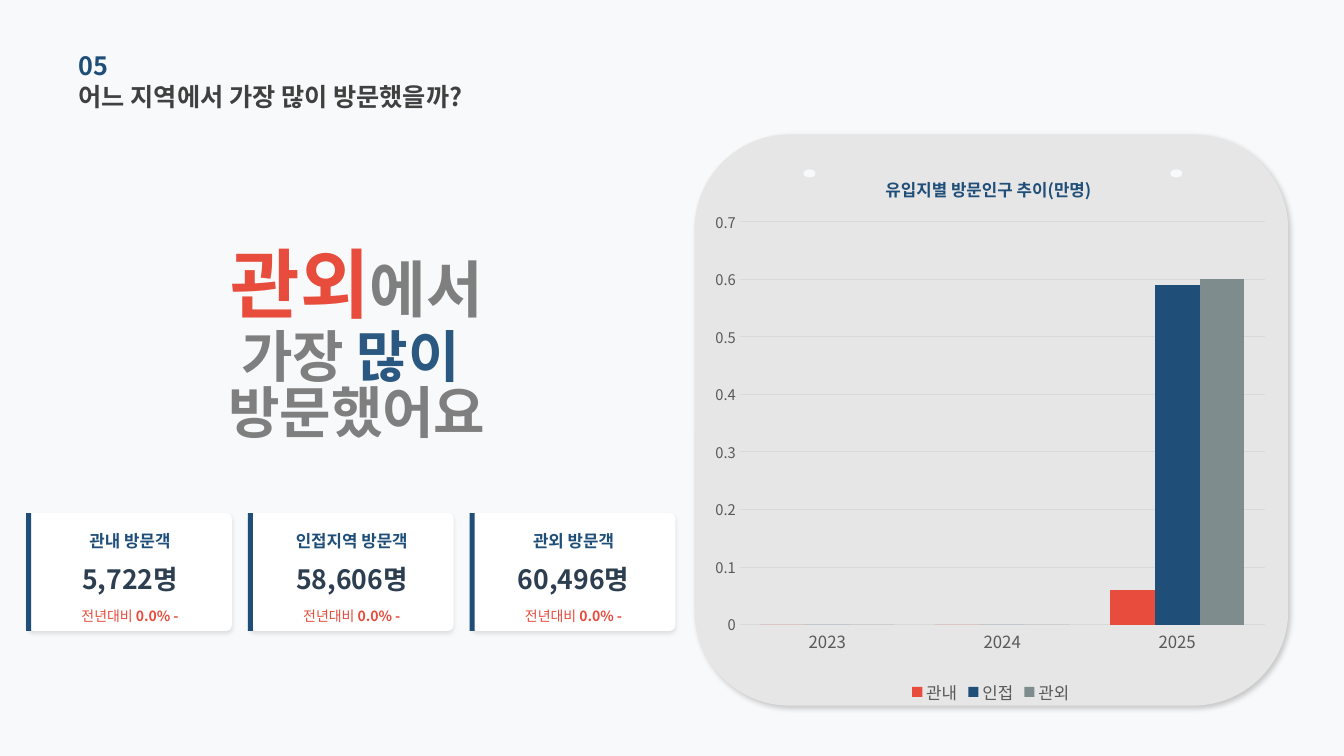
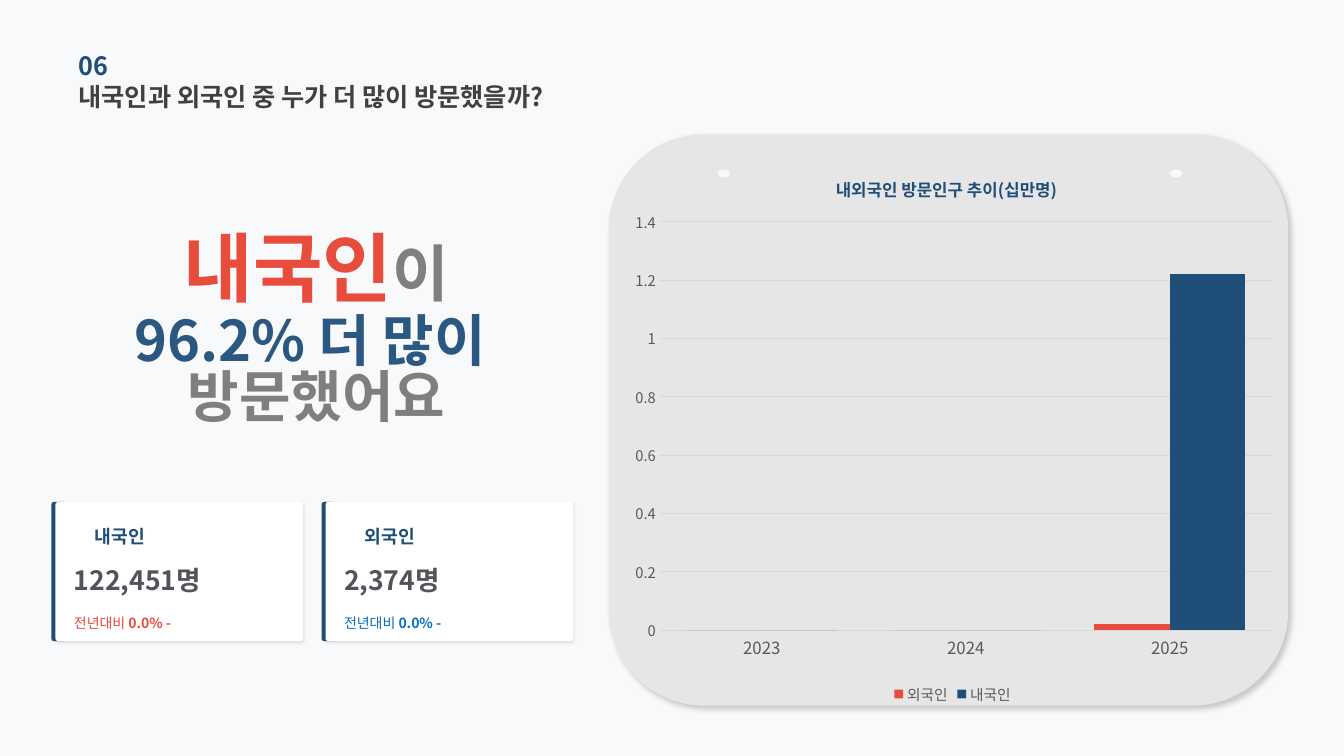
import pptx
import pptx.chart.data
import pptx.dml.color
import pptx.enum.chart
import pptx.enum.shapes
import pptx.enum.text
import pptx.oxml
import pptx.oxml.ns
import pptx.util

RGBColor = pptx.dml.color.RGBColor
Shapes = pptx.enum.shapes.MSO_SHAPE
Align = pptx.enum.text.PP_ALIGN
qn = pptx.oxml.ns.qn

FONT = "Noto Sans CJK KR"
PAPER = RGBColor(0xF8, 0xF9, 0xFA)
WHITE = RGBColor(0xFF, 0xFF, 0xFF)
PANEL = RGBColor(0xE7, 0xE6, 0xE6)
NAVY = RGBColor(0x1F, 0x4E, 0x79)
SOFT_NAVY = RGBColor(0x2B, 0x58, 0x80)
RED = RGBColor(0xE7, 0x4C, 0x3C)
BLUE = RGBColor(0x00, 0x70, 0xC0)
STEEL = RGBColor(0x7F, 0x8C, 0x8D)
TITLE_INK = RGBColor(0x40, 0x40, 0x40)
VALUE_INK = RGBColor(0x2C, 0x3E, 0x50)
VALUE_GREY = RGBColor(0x51, 0x54, 0x5A)
GREY = RGBColor(0x7F, 0x7F, 0x7F)
AXIS_INK = RGBColor(0x59, 0x59, 0x59)
GRID_LINE = RGBColor(0xD9, 0xD9, 0xD9)

# The slide is a grid of square cells.
COLUMNS, ROWS = 160, 90
CELL = pptx.util.Inches(7.5) // ROWS

PANEL_TOP, PANEL_RIGHT, PANEL_HEIGHT = 16, 153.36, 68
PANEL_SHADOW = dict(alpha=20, blur=4, distance=3, angle=45)
WIDE_SHADOW = dict(alpha=10, blur=3, distance=2, angle=90)
THIN_SHADOW = dict(alpha=10, blur=2, distance=1, angle=90)


def cells(*counts):
    return [round(count * CELL) for count in counts]


def style_font(font, size, color, bold=False):
    font.size = pptx.util.Pt(size)
    font.bold = bold
    font.color.rgb = color
    font.name = FONT
    east_asian = font._element.makeelement(qn("a:ea"), {"typeface": FONT})
    font._element.find(qn("a:latin")).addnext(east_asian)


def place_in_chart(element, index, **shares):
    """Fix a chart part at shares of the chart's size."""
    old = element.find(qn("c:layout"))
    if old is not None:
        element.remove(old)
    modes = "".join(f'<c:{axis}Mode val="edge"/>' for axis in "xy")
    target = '<c:layoutTarget val="inner"/>' if "w" in shares else ""
    values = "".join(f'<c:{key} val="{share}"/>' for key, share in shares.items())
    element.insert(index, pptx.oxml.parse_xml(
        f'<c:layout {pptx.oxml.ns.nsdecls("c")}><c:manualLayout>'
        f"{target}{modes}{values}</c:manualLayout></c:layout>"))


class Deck:
    def __init__(self):
        self.presentation = pptx.Presentation()
        self.presentation.slide_width = COLUMNS * CELL
        self.presentation.slide_height = ROWS * CELL
        fill = self.presentation.slide_master.background.fill
        fill.solid()
        fill.fore_color.rgb = PAPER
        self.slide = None

    def start(self, number, question):
        layout = self.presentation.slide_layouts.get_by_name("Title Only")
        self.slide = self.presentation.slides.add_slide(layout)
        title = self.slide.shapes.title
        title.left, title.top, title.width, title.height = cells(9.36, 9, 63.36, 4.92)
        self.fill_frame(title.text_frame, [[(question, 18, TITLE_INK, True)]])
        self.text(9.36, 5.28, 54.24, 4.92, [[(number, 18, NAVY, True)]])

    def fill_frame(self, frame, lines, align=Align.LEFT, spacing=None):
        """Fill a frame; each line is a list of (text, size, color, bold)."""
        frame.word_wrap = True
        frame.auto_size = pptx.enum.text.MSO_AUTO_SIZE.NONE
        frame.vertical_anchor = pptx.enum.text.MSO_ANCHOR.MIDDLE
        frame.margin_left = frame.margin_right = 0
        frame.margin_top = frame.margin_bottom = 0
        for index, line in enumerate(lines):
            paragraph = frame.add_paragraph() if index else frame.paragraphs[0]
            paragraph.alignment = align
            if spacing:
                paragraph.line_spacing = spacing
            for text, size, color, bold in line:
                run = paragraph.add_run()
                run.text = text
                style_font(run.font, size, color, bold)

    def text(self, left, top, width, height, lines, align=Align.LEFT, spacing=None):
        box = self.slide.shapes.add_textbox(*cells(left, top, width, height))
        self.fill_frame(box.text_frame, lines, align, spacing)

    def shape(self, kind, left, top, width, height, color, shadow=None, corner=None):
        shape = self.slide.shapes.add_shape(kind, *cells(left, top, width, height))
        shape.fill.solid()
        shape.fill.fore_color.rgb = color
        shape.line.fill.background()
        shape.shadow.inherit = False
        if corner is not None:
            shape.adjustments[0] = corner
        if shadow:
            effects = shape._element.spPr.find(qn("a:effectLst"))
            effects.append(pptx.oxml.parse_xml(
                f'<a:outerShdw {pptx.oxml.ns.nsdecls("a")} '
                f'blurRad="{pptx.util.Pt(shadow["blur"])}" '
                f'dist="{pptx.util.Pt(shadow["distance"])}" '
                f'dir="{shadow["angle"] * 60000}" algn="t" rotWithShape="0">'
                f'<a:srgbClr val="000000"><a:alpha val="{shadow["alpha"] * 1000}"/>'
                "</a:srgbClr></a:outerShdw>"))

    def panel(self, left):
        """Draw the grey board with its two pin holes."""
        self.shape(Shapes.ROUNDED_RECTANGLE, left, PANEL_TOP, PANEL_RIGHT - left,
                   PANEL_HEIGHT, PANEL, PANEL_SHADOW)
        for hole in (left + 12.96, PANEL_RIGHT - 14.04):
            self.shape(Shapes.OVAL, hole, 20.16, 1.44, 0.96, PAPER)

    def headline(self, left, top, lead, rest):
        self.text(left, top, 66.24, 5.76, [lead], Align.CENTER)
        self.text(left, top + 10.56, 66.24, 10.08, rest, Align.CENTER, 0.83)

    def trend(self, color):
        return [("전년대비 ", 10, color, False), ("0.0% -", 10, color, True)]

    def centered_card(self, left, label, value):
        top, width, height = 61.08, 24.24, 14.04
        self.shape(Shapes.ROUNDED_RECTANGLE, left, top, width, height, WHITE,
                   WIDE_SHADOW, 0.05)
        rows = ((1.92, 2.64, [(label, 12, NAVY, True)]),
                (5.76, 4.08, [(value, 19, VALUE_INK, True)]),
                (11.04, 2.4, self.trend(RED)))
        for offset, row_height, line in rows:
            self.text(left, top + offset, width, row_height, [line], Align.CENTER)
        self.shape(Shapes.RECTANGLE, left - 0.24, top, 0.6, height, NAVY)

    def left_card(self, left, label, value, trend_color):
        top, width, height = 59.76, 29.5, 16.56
        self.shape(Shapes.ROUNDED_RECTANGLE, left - 0.48, top, 1.8, height, NAVY)
        self.shape(Shapes.ROUNDED_RECTANGLE, left, top, width, height, WHITE,
                   THIN_SHADOW, 0.02)
        rows = ((4.68, 1.68, [(label, 13, NAVY, True)]),
                (2.2, 6.84, [(value, 19, VALUE_GREY, True)]),
                (2.2, 11.94, self.trend(trend_color)))
        for indent, offset, line in rows:
            self.text(left + indent, top + offset, width - indent, 4.8, [line])

    def chart(self, left, width, title, series, gap, top_value, step,
              legend_size, title_x, plot):
        data = pptx.chart.data.CategoryChartData()
        data.categories = ["2023", "2024", "2025"]
        for name, latest, _ in series:
            data.add_series(name, (0, 0, latest))
        chart = self.slide.shapes.add_chart(
            pptx.enum.chart.XL_CHART_TYPE.COLUMN_CLUSTERED,
            *cells(left, 17.76, width, 66.6), data).chart
        style_font(chart.font, 10, AXIS_INK)

        chart.has_title = True
        run = chart.chart_title.text_frame.paragraphs[0].add_run()
        run.text = title
        style_font(run.font, 12, NAVY, True)
        place_in_chart(chart.chart_title._element, 1, x=title_x, y=0.04)
        place_in_chart(chart._chartSpace.chart.plotArea, 0, **plot)

        chart.has_legend = True
        chart.legend.position = pptx.enum.chart.XL_LEGEND_POSITION.BOTTOM
        chart.legend.include_in_layout = False
        style_font(chart.legend.font, legend_size, AXIS_INK)

        for axis, size in ((chart.category_axis, 12), (chart.value_axis, 10.5)):
            axis.major_tick_mark = pptx.enum.chart.XL_TICK_MARK.NONE
            style_font(axis.tick_labels.font, size, AXIS_INK)
        values = chart.value_axis
        values.minimum_scale, values.maximum_scale, values.major_unit = 0, top_value, step
        values.format.line.fill.background()
        for line in (chart.category_axis.format.line, values.major_gridlines.format.line):
            line.color.rgb = GRID_LINE
            line.width = pptx.util.Pt(0.75)

        bars = chart.plots[0]
        bars.gap_width = gap
        bars.overlap = 0
        bars.vary_by_categories = False
        for bar, (_, _, color) in zip(bars.series, series):
            bar.format.fill.solid()
            bar.format.fill.fore_color.rgb = color


def region_slide(deck):
    deck.start("05", "어느 지역에서 가장 많이 방문했을까?")
    deck.panel(82.68)
    deck.headline(9.36, 30.72,
                  [("관외", 54, RED, True), ("에서", 44, GREY, True)],
                  [[("가장", 40, GREY, True), (" 많이 ", 40, SOFT_NAVY, True)],
                   [("방문했어요", 40, GREY, True)]])
    visitors = (("관내 방문객", "5,722명"), ("인접지역 방문객", "58,606명"),
                ("관외 방문객", "60,496명"))
    for index, (label, value) in enumerate(visitors):
        deck.centered_card(3.36 + 26.4 * index, label, value)
    deck.chart(84, 67.92, "유입지별 방문인구 추이(만명)",
               [("관내", 0.06, RED), ("인접", 0.59, NAVY), ("관외", 0.6, STEEL)],
               gap=90, top_value=0.7, step=0.1, legend_size=12, title_x=0.31,
               plot=dict(x=0.06, y=0.13, w=0.92, h=0.72))


def nationality_slide(deck):
    deck.start("06", "내국인과 외국인 중 누가 더 많이 방문했을까?")
    deck.panel(72.48)
    deck.headline(4.56, 28.8,
                  [("내국인", 54, RED, True), ("이", 44, GREY, True)],
                  [[("96.2% 더 많이 ", 40, SOFT_NAVY, True)],
                   [("방문했어요", 40, GREY, True)]])
    visitors = (("내국인", "122,451명", RED), ("외국인", "2,374명", BLUE))
    for index, (label, value, trend_color) in enumerate(visitors):
        deck.left_card(6.6 + 32.16 * index, label, value, trend_color)
    deck.chart(73.8, 79.2, "내외국인 방문인구 추이(십만명)",
               [("외국인", 0.02, RED), ("내국인", 1.22, NAVY)],
               gap=70, top_value=1.4, step=0.2, legend_size=10.5, title_x=0.32,
               plot=dict(x=0.06, y=0.13, w=0.92, h=0.73))


def main():
    deck = Deck()
    region_slide(deck)
    nationality_slide(deck)
    deck.presentation.save("out.pptx")


if __name__ == "__main__":
    main()
